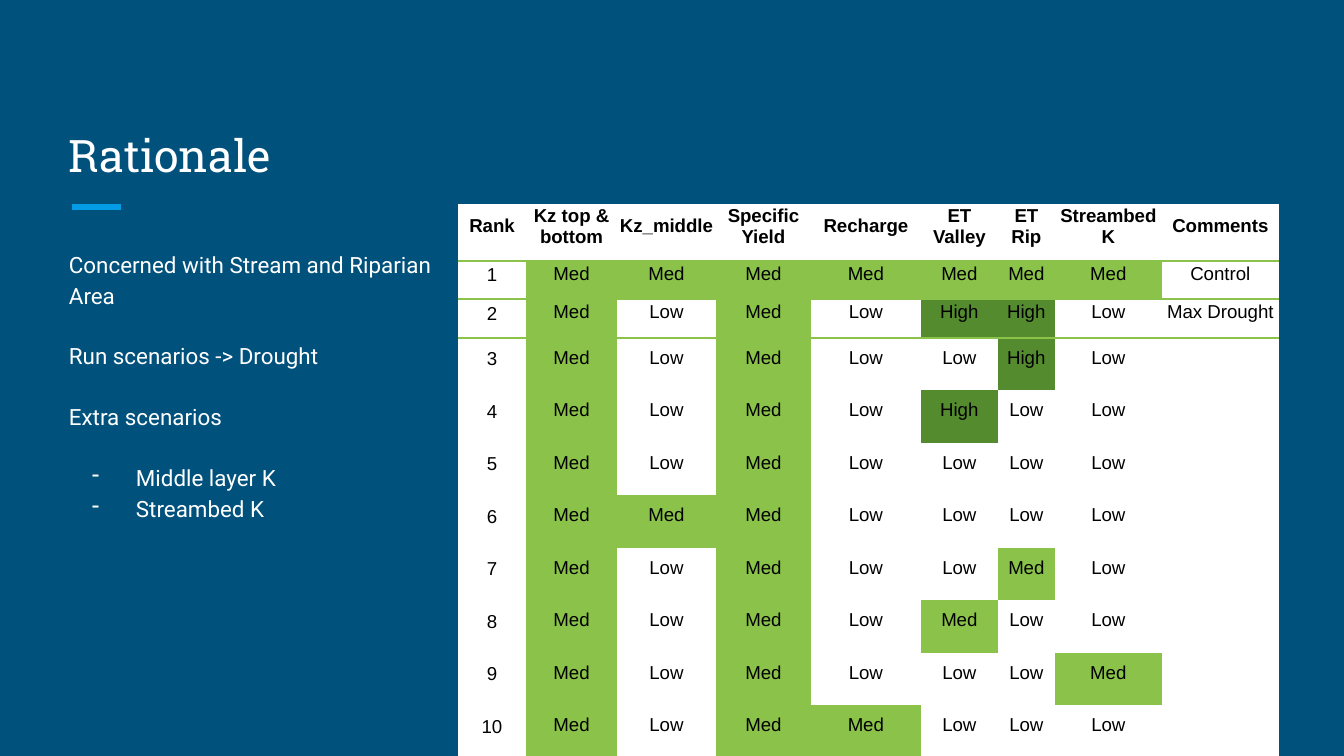
from lxml.etree import SubElement
from pptx import Presentation
from pptx.dml.color import RGBColor as RGB
from pptx.enum.shapes import MSO_CONNECTOR as CONN
from pptx.enum.text import MSO_ANCHOR as ANCHOR, MSO_AUTO_SIZE as FIT, PP_ALIGN as ALIGN
from pptx.oxml import parse_xml
from pptx.oxml.ns import nsdecls, qn
from pptx.util import Emu, Pt

NAVY = RGB(0x00, 0x51, 0x7C)
BLUE = RGB(0x03, 0x9B, 0xE5)
WHITE = RGB(0xFF, 0xFF, 0xFF)
BLACK = RGB(0x00, 0x00, 0x00)
LIME = RGB(0x8B, 0xC3, 0x4A)
MOSS = RGB(0x55, 0x8B, 0x2F)
FILLS = {"Med": LIME, "High": MOSS}
NO_GRID = "{2D5ABB26-0587-4C30-8999-92F81FD0307C}"

HEAD = ["Rank", "Kz top & bottom", "Kz_middle", "Specific Yield", "Recharge",
        "ET Valley", "ET Rip", "Streambed K", "Comments"]
COLS = [68, 91, 99, 95, 110, 77, 57, 107, 117]
ROWS = [57, 38, 39] + [52, 53] * 4
LEVELS = [
    "Med Med Med Med Med Med Med",
    "Med Low Med Low High High Low",
    "Med Low Med Low Low High Low",
    "Med Low Med Low High Low Low",
    "Med Low Med Low Low Low Low",
    "Med Med Med Low Low Low Low",
    "Med Low Med Low Low Med Low",
    "Med Low Med Low Med Low Low",
    "Med Low Med Low Low Low Med",
    "Med Low Med Med Low Low Low",
]
NOTES = {1: "Control", 2: "Max Drought"}
POINTS = ["Concerned with Stream and Riparian Area", "Run scenarios -> Drought",
          "Extra scenarios"]
EXTRAS = ["Middle layer K", "Streambed K"]


def px(n):
    return Emu(round(n * 914400 / 134.4))


def write(par, text, size=10, font="Arial", color=BLACK, bold=False,
          align=ALIGN.LEFT, lead=1.0, before=0):
    par.alignment, par.line_spacing, par.space_before = align, lead, Pt(before)
    run = par.add_run()
    run.text = text
    run.font.size, run.font.name, run.font.bold = Pt(size), font, bold
    run.font.color.rgb = color


def dash(par):
    """Give the paragraph a hanging dash as its bullet."""
    props = par._p.get_or_add_pPr()
    props.set("marL", str(px(67)))
    props.set("indent", str(-px(44)))
    SubElement(props, qn("a:buChar")).set("char", "-")


def rule(cell, side):
    """Draw a thin green border on one side: T or B."""
    cell._tc.get_or_add_tcPr().insert(0, parse_xml(
        f'<a:ln{side} {nsdecls("a")} w="{Pt(0.75)}"><a:solidFill>'
        f'<a:srgbClr val="{LIME}"/></a:solidFill></a:ln{side}>'))


class Deck:
    def __init__(self):
        self.prs = Presentation()
        self.prs.slide_width, self.prs.slide_height = px(1344), px(756)
        self.slide = self.prs.slides.add_slide(self.prs.slide_layouts[5])
        back = self.slide.background.fill
        back.solid()
        back.fore_color.rgb = NAVY

    def frame(self, shape, anchor):
        frame = shape.text_frame
        frame.word_wrap, frame.auto_size = True, FIT.NONE
        frame.vertical_anchor = anchor
        frame.margin_left = frame.margin_right = px(13)
        frame.margin_top = frame.margin_bottom = px(13)
        return frame

    def title(self, text, x, y, w, h):
        shape = self.slide.shapes.title
        shape.left, shape.top, shape.width, shape.height = map(px, (x, y, w, h))
        par = self.frame(shape, ANCHOR.BOTTOM).paragraphs[0]
        write(par, text, size=24, font="Roboto Slab", color=WHITE)

    def line(self, x1, y1, x2, y2):
        line = self.slide.shapes.add_connector(
            CONN.STRAIGHT, *map(px, (x1, y1, x2, y2)))
        line.line.color.rgb, line.line.width = BLUE, Pt(3)
        SubElement(line._element.spPr, qn("a:effectLst"))

    def body(self, x, y, w, h):
        box = self.slide.shapes.add_textbox(*map(px, (x, y, w, h)))
        frame = self.frame(box, ANCHOR.TOP)
        for i, text in enumerate(POINTS + EXTRAS):
            par = frame.add_paragraph() if i else frame.paragraphs[0]
            gap = 16 if 0 < i <= len(POINTS) else 0
            write(par, text, size=12, font="Roboto", color=WHITE,
                  lead=1.15, before=gap)
            if text in EXTRAS:
                dash(par)

    def cell(self, cell, text, **style):
        cell.fill.solid()
        cell.fill.fore_color.rgb = FILLS.get(text, WHITE)
        cell.vertical_anchor = ANCHOR.MIDDLE
        cell.margin_left = cell.margin_right = cell.margin_top = px(1)
        cell.margin_bottom = px(13)
        par = cell.text_frame.paragraphs[0]
        if text:
            write(par, text, align=ALIGN.CENTER, **style)
        else:
            par.font.size = Pt(10)

    def table(self, x, y):
        rows = [HEAD] + [[str(rank), *line.split(), NOTES.get(rank, "")]
                         for rank, line in enumerate(LEVELS, 1)]
        size = (x, y, sum(COLS), sum(ROWS))
        table = self.slide.shapes.add_table(
            len(ROWS), len(COLS), *map(px, size)).table
        table._tbl.tblPr.find(qn("a:tableStyleId")).text = NO_GRID
        table.horz_banding = False
        for col, w in zip(table.columns, COLS):
            col.width = px(w)
        for row, h in zip(table.rows, ROWS):
            row.height = px(h)
        for r, texts in enumerate(rows):
            for c, text in enumerate(texts):
                cell = table.cell(r, c)
                lead = 1.15 if r and c == 0 else 1.0
                self.cell(cell, text, bold=r == 0, lead=lead)
                if r < 2:
                    rule(cell, "B")
                if r in (1, 2):
                    rule(cell, "T")


def main():
    deck = Deck()
    deck.line(72, 207, 121, 207)
    deck.title("Rationale", 56, 82, 412, 112)
    deck.body(56, 234, 412, 394)
    deck.table(458, 204)
    deck.prs.save("out.pptx")


if __name__ == "__main__":
    main()
